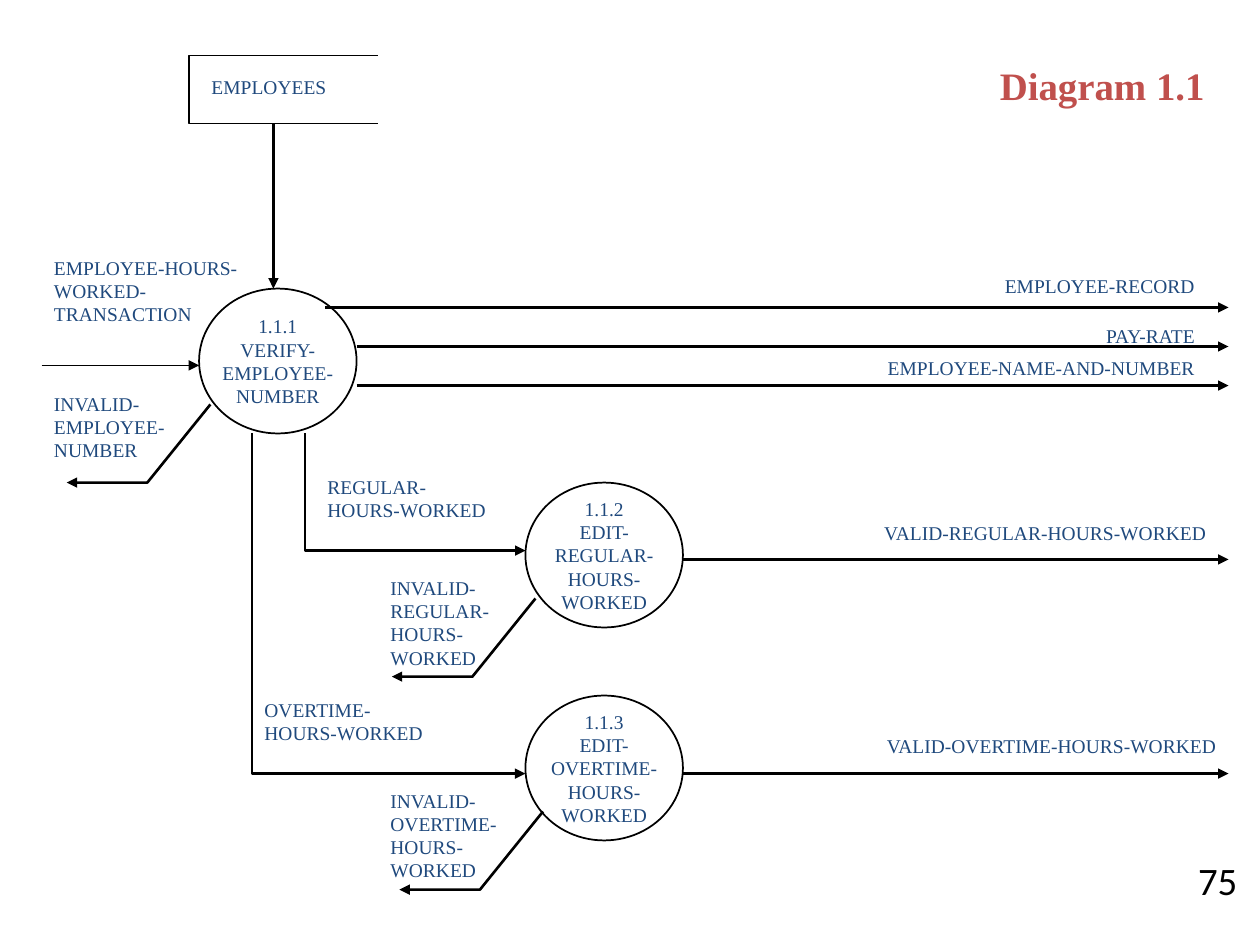
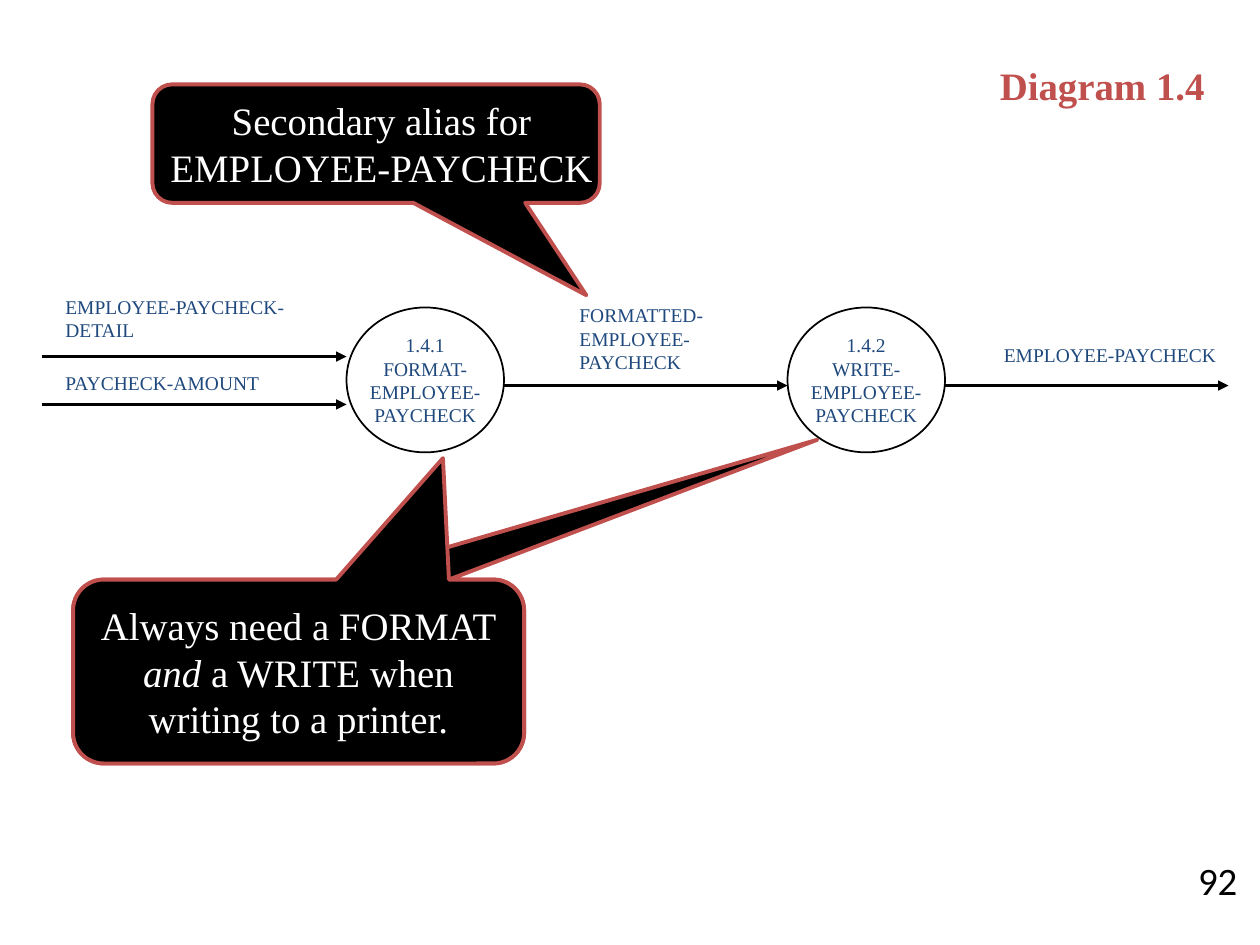
"""Build two payroll data flow diagrams with python-pptx."""
from dataclasses import dataclass

from lxml.etree import SubElement
from pptx import Presentation
from pptx.dml.color import RGBColor
from pptx.enum.shapes import MSO_CONNECTOR, MSO_SHAPE
from pptx.enum.text import MSO_ANCHOR, MSO_AUTO_SIZE, PP_ALIGN
from pptx.oxml.ns import qn
from pptx.util import Inches, Pt

BLACK, WHITE, RED, BLUE = "000000", "FFFFFF", "C0504D", "1F497D"
SERIF, SANS = "Times New Roman", "Calibri"
SMALL, LARGE = 11.1, 22.2
PROCESS_WIDTH, PROCESS_HEIGHT = 1.25, 1.15
LEFT_EDGE, RIGHT_EDGE = 0.33, 9.75


@dataclass
class Label:
    text: str
    left: float
    top: float
    width: float
    lines: int = 1
    align: PP_ALIGN = PP_ALIGN.LEFT
    size: float = SMALL
    color: str = BLUE
    font: str = SERIF
    bold: bool = False


@dataclass
class Process:
    text: str
    left: float
    top: float


@dataclass
class Flow:
    points: list[tuple[float, float]]
    weight: float = 1.5
    arrow: bool = True


@dataclass
class Callout:
    text: str
    box: tuple[float, float, float, float]
    tip: tuple[float, float]
    wrap: bool = True
    right_inset: float = 0.1


@dataclass
class Diagram:
    title: str
    number: str
    processes: list[Process]
    flows: list[Flow]
    labels: list[Label]
    callouts: list[Callout]


def rgb(color: str) -> RGBColor:
    """Turn a hex string into a colour."""
    return RGBColor.from_string(color)


def format_text(text_frame, align: PP_ALIGN, size: float, color: str, font: str, bold: bool = False) -> None:
    """Give every paragraph and run of a frame one look."""
    for paragraph in text_frame.paragraphs:
        paragraph.alignment = align
        for run in paragraph.runs:
            run.font.size = Pt(size)
            run.font.name = font
            run.font.bold = bold
            run.font.color.rgb = rgb(color)


def right_label(text: str, right: float, top: float, width: float) -> Label:
    """Describe a one-line label that ends at a right edge."""
    return Label(text, right - width, top, width, align=PP_ALIGN.RIGHT)


def across(left: float, right: float, y: float, weight: float = 1.5) -> Flow:
    """Describe a horizontal flow."""
    return Flow([(left, y), (right, y)], weight)


def rejection(x: float, y: float) -> Flow:
    """Describe the bent flow that carries invalid data away."""
    return Flow([(x, y), (x - 0.5, y + 0.62), (x - 1.14, y + 0.62)])


def elbow(left: float, top: float, bottom: float) -> Flow:
    """Describe a flow that drops and turns right into an edit process."""
    return Flow([(left, top), (left, bottom), (4.17, bottom)])


def add_label(slide, label: Label) -> None:
    """Draw a wrapped text box as high as its lines."""
    height = 0.1 + label.lines * label.size / 60
    shape = slide.shapes.add_textbox(Inches(label.left), Inches(label.top), Inches(label.width), Inches(height))
    text_frame = shape.text_frame
    text_frame.word_wrap = True
    text_frame.auto_size = MSO_AUTO_SIZE.SHAPE_TO_FIT_TEXT
    text_frame.text = label.text
    format_text(text_frame, label.align, label.size, label.color, label.font, label.bold)


def add_process(slide, process: Process) -> None:
    """Draw a process bubble."""
    shape = slide.shapes.add_shape(
        MSO_SHAPE.OVAL, Inches(process.left), Inches(process.top), Inches(PROCESS_WIDTH), Inches(PROCESS_HEIGHT)
    )
    shape.shadow.inherit = False
    shape.fill.background()
    shape.line.color.rgb = rgb(BLACK)
    shape.line.width = Pt(1)
    text_frame = shape.text_frame
    text_frame.word_wrap = False
    text_frame.vertical_anchor = MSO_ANCHOR.MIDDLE
    text_frame.text = process.text
    format_text(text_frame, PP_ALIGN.CENTER, SMALL, BLUE, SERIF)


def add_flow(slide, flow: Flow) -> None:
    """Draw a straight flow as a connector and a bent one as an open outline."""
    points = [(Inches(x), Inches(y)) for x, y in flow.points]
    straight = len(points) == 2
    if straight:
        shape = slide.shapes.add_connector(MSO_CONNECTOR.STRAIGHT, *points[0], *points[1])
    else:
        builder = slide.shapes.build_freeform(*points[0])
        builder.add_line_segments(points[1:], close=False)
        shape = builder.convert_to_shape()
        shape.shadow.inherit = False
        shape.fill.background()
    shape.line.color.rgb = rgb(BLACK)
    shape.line.width = Pt(flow.weight)
    properties = shape.element.spPr
    if flow.arrow:
        SubElement(properties.find(qn("a:ln")), qn("a:tailEnd"), type="triangle")
    if straight:
        SubElement(properties, qn("a:effectLst"))


def add_callout(slide, callout: Callout) -> None:
    """Draw a callout, with text between asterisks in italics."""
    shape = slide.shapes.add_shape(
        MSO_SHAPE.ROUNDED_RECTANGULAR_CALLOUT, *(Inches(length) for length in callout.box)
    )
    shape.adjustments[0], shape.adjustments[1] = callout.tip
    shape.adjustments[2] = 0.167
    shape.shadow.inherit = False
    shape.fill.solid()
    shape.fill.fore_color.rgb = rgb(BLACK)
    shape.line.color.rgb = rgb(RED)
    shape.line.width = Pt(2.25)
    text_frame = shape.text_frame
    text_frame.word_wrap = callout.wrap
    text_frame.margin_right = Inches(callout.right_inset)
    text_frame.vertical_anchor = MSO_ANCHOR.MIDDLE
    for index, line in enumerate(callout.text.splitlines()):
        paragraph = text_frame.add_paragraph() if index else text_frame.paragraphs[0]
        for position, piece in enumerate(line.split("*")):
            run = paragraph.add_run()
            run.text = piece
            run.font.italic = position % 2 == 1
    format_text(text_frame, PP_ALIGN.CENTER, LARGE, WHITE, SERIF)


def add_diagram(presentation, diagram: Diagram) -> None:
    """Add one slide with its title, diagram and page number."""
    slide = presentation.slides.add_slide(presentation.slide_layouts[6])
    add_label(slide, Label(diagram.title, 7.08, 0.44, 2.58, 1, PP_ALIGN.RIGHT, LARGE, RED, bold=True))
    for process in diagram.processes:
        add_process(slide, process)
    for flow in diagram.flows:
        add_flow(slide, flow)
    for label in diagram.labels:
        add_label(slide, label)
    for callout in diagram.callouts:
        add_callout(slide, callout)
    add_label(slide, Label(diagram.number, 9.33, 6.75, 0.67, 1, PP_ALIGN.CENTER, LARGE, BLACK, SANS))


PRINTER_BOX = (0.58, 4.6, 3.58, 1.46)

VERIFY_HOURS = Diagram(
    "Diagram 1.1",
    "75",
    processes=[
        Process("1.1.1\nVERIFY-\nEMPLOYEE-\nNUMBER", 1.58, 2.29),
        Process("1.1.2\nEDIT-\nREGULAR-\nHOURS-\nWORKED", 4.17, 3.83),
        Process("1.1.3\nEDIT-\nOVERTIME-\nHOURS-\nWORKED", 4.17, 5.52),
    ],
    flows=[
        Flow([(3, 0.44), (1.5, 0.44), (1.5, 0.98), (3, 0.98)], 1, arrow=False),
        Flow([(2.17, 0.98), (2.17, 2.29)]),
        across(LEFT_EDGE, 1.58, 2.9, 1),
        across(2.58, RIGHT_EDGE, 2.44),
        across(2.83, RIGHT_EDGE, 2.75),
        across(2.83, RIGHT_EDGE, 3.06),
        across(5.42, RIGHT_EDGE, 4.44),
        across(5.42, RIGHT_EDGE, 6.14),
        elbow(2.42, 3.44, 4.37),
        elbow(2, 3.44, 6.14),
        rejection(1.67, 3.21),
        rejection(4.25, 4.75),
        rejection(4.31, 6.44),
    ],
    labels=[
        Label("EMPLOYEES", 1.58, 0.55, 1.33),
        Label("EMPLOYEE-HOURS-WORKED-TRANSACTION", 0.33, 1.98, 1.92, 3),
        Label("INVALID-EMPLOYEE-NUMBER", 0.33, 3.06, 1.42, 3),
        Label("REGULAR-HOURS-WORKED", 2.5, 3.72, 1.5, 2),
        Label("INVALID-REGULAR-HOURS-WORKED", 3, 4.52, 1.42, 4),
        Label("OVERTIME-HOURS-WORKED", 2, 5.49, 1.5, 2),
        Label("INVALID-OVERTIME-HOURS-WORKED", 3, 6.21, 1.42, 4),
        right_label("EMPLOYEE-RECORD", 9.58, 2.13, 2.67),
        right_label("PAY-RATE", 9.58, 2.52, 2.25),
        right_label("EMPLOYEE-NAME-AND-NUMBER", 9.58, 2.78, 2.83),
        right_label("VALID-REGULAR-HOURS-WORKED", 9.67, 4.09, 3.25),
        right_label("VALID-OVERTIME-HOURS-WORKED", 9.75, 5.78, 3.67),
    ],
    callouts=[],
)

WRITE_PAYCHECK = Diagram(
    "Diagram 1.4",
    "92",
    processes=[
        Process("1.4.1\nFORMAT-\nEMPLOYEE-\nPAYCHECK", 2.75, 2.44),
        Process("1.4.2\nWRITE-\nEMPLOYEE-\nPAYCHECK", 6.25, 2.44),
    ],
    flows=[
        across(LEFT_EDGE, 2.75, 2.83),
        across(LEFT_EDGE, 2.75, 3.21),
        across(4, 6.25, 3.06),
        across(7.5, RIGHT_EDGE, 3.06),
    ],
    labels=[
        Label("EMPLOYEE-PAYCHECK-DETAIL", 0.42, 2.29, 2.33, 2),
        Label("PAYCHECK-AMOUNT", 0.42, 2.9, 2.17),
        Label("FORMATTED-\nEMPLOYEE-\nPAYCHECK", 4.5, 2.36, 2.25, 3),
        right_label("EMPLOYEE-PAYCHECK", 9.75, 2.67, 2.08),
    ],
    callouts=[
        Callout("Secondary alias for\nEMPLOYEE-PAYCHECK", (1.21, 0.67, 3.55, 0.94), (0.47, 1.28), False, 0.01),
        Callout("", PRINTER_BOX, (1.15, -1.26)),
        Callout("Always need a FORMAT *and* a WRITE when writing to a printer.", PRINTER_BOX, (0.32, -1.16)),
    ],
)


def main() -> None:
    """Build and save the presentation."""
    presentation = Presentation()
    presentation.slide_width = Inches(10)
    presentation.slide_height = Inches(7.5)
    for diagram in (VERIFY_HOURS, WRITE_PAYCHECK):
        add_diagram(presentation, diagram)
    presentation.save("out.pptx")


if __name__ == "__main__":
    main()
